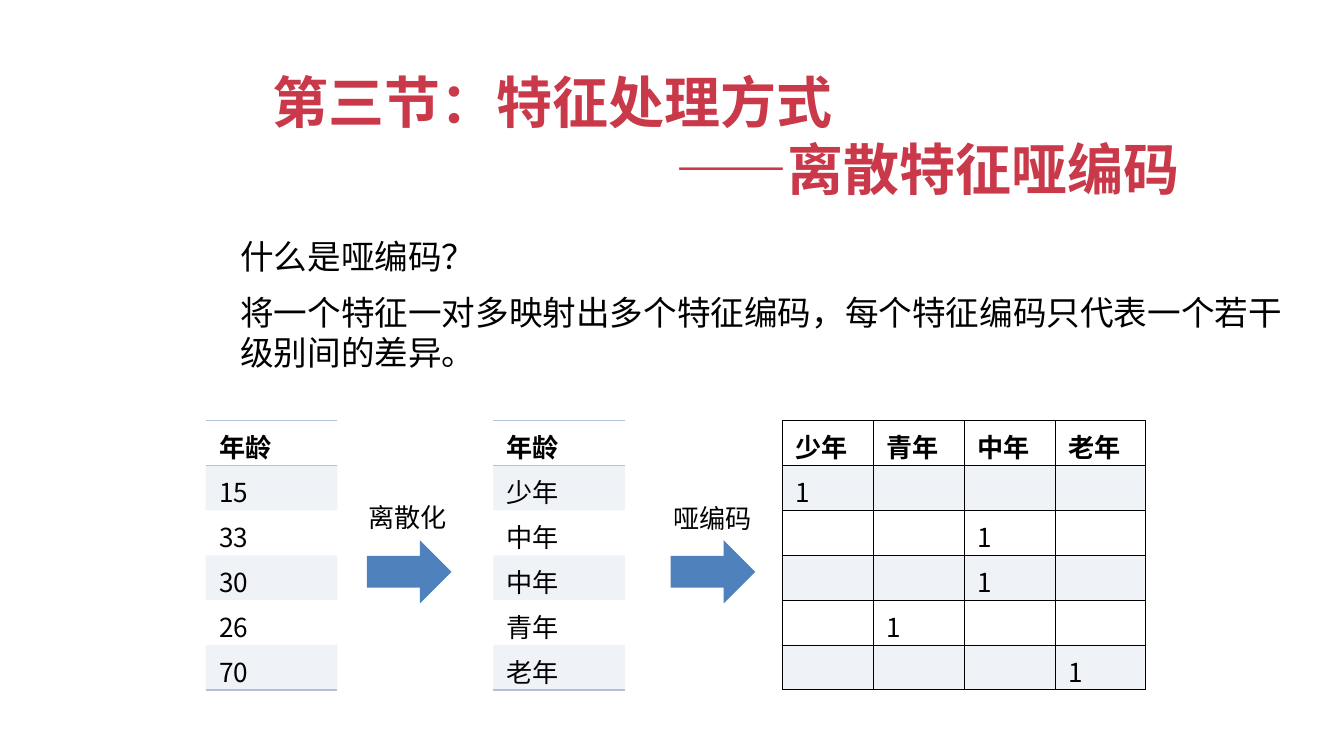
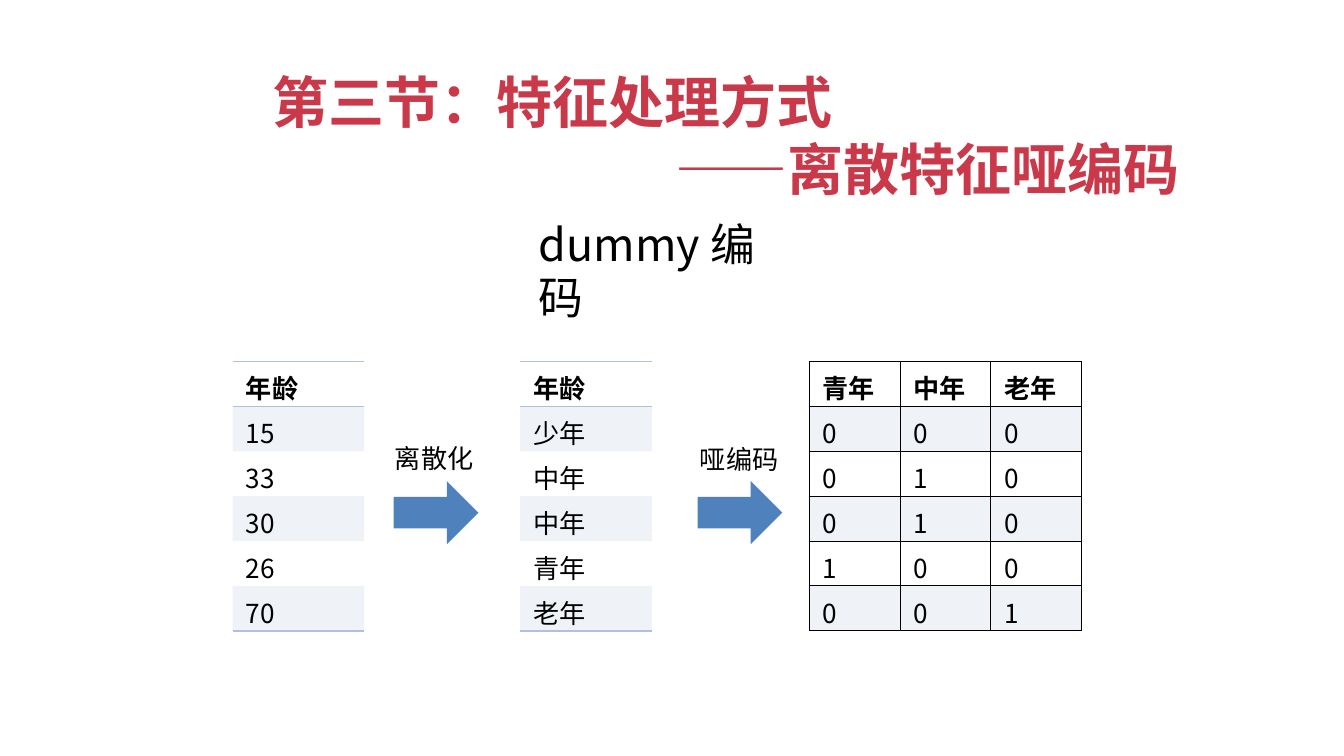
import pptx
import pptx.util
import pptx.dml.color
import pptx.enum.shapes
import pptx.oxml.ns
from lxml import etree

Inches, Pt = pptx.util.Inches, pptx.util.Pt
RGB = pptx.dml.color.RGBColor
qn = pptx.oxml.ns.qn

FONT = "Noto Sans CJK SC"
RED = RGB(0xC9, 0x39, 0x4A)
BLACK = RGB(0, 0, 0)
BLUE = RGB(0x4F, 0x81, 0xBD)
PALE = RGB(0xB2, 0xC1, 0xDB)
NO_STYLE = "{2D5ABB26-0587-4C30-8999-92F81FD0307C}"

WIDE = 10
HIGH = WIDE * 9 / 16
ROW = 2 / 6
AGE_COL, CODE_COL = 0.98, 2.03 / 3
# left of the group and code tables, from the left of the age table
GROUP_X, CODE_X = 2.14, 4.29

TITLE = [("第三节：特征处理方式", 0), ("——离散特征哑编码", 6)]
HEAD = "年龄"
AGES = ["15", "33", "30", "26", "70"]
GROUPS = ["少年", "中年", "中年", "青年", "老年"]
LEVELS = ["少年", "青年", "中年", "老年"]
# label, arrow offset, label offset from the left of the age table
MOVES = [("离散化", 1.2, (1.11, 0.55)), ("哑编码", 3.46, (3.38, 0.56))]

# texts: words, size, box, wrap
PAGES = [
    {
        "texts": [
            ("什么是哑编码？", 18, (1.69, 1.71, 1.97, 0.4), False),
            ("将一个特征一对多映射出多个特征编码，每个特征编码只代表一个若干级别间的差异。",
             18, (1.69, 2.12, 8.03, 0.71), True),
        ],
        "start": (1.53, 3.13), "levels": LEVELS, "zero": "",
    },
    {
        "texts": [("dummy 编码", 24, (3.91, 1.56, 2.05, 0.5), True)],
        "start": (1.73, 2.69), "levels": LEVELS[1:], "zero": "0",
    },
]


def put(para, words, size, color=BLACK, bold=False):
    run = para.add_run()
    run.text = words
    font = run.font
    font.size, font.bold, font.name = Pt(size), bold, FONT
    font.color.rgb = color
    east = etree.SubElement(run._r.get_or_add_rPr(), qn("a:ea"))
    east.set("typeface", FONT)


def add_box(slide, box, wrap):
    frame = slide.shapes.add_textbox(*map(Inches, box)).text_frame
    frame.word_wrap = wrap
    return frame


def add_text(slide, words, size, box, wrap):
    put(add_box(slide, box, wrap).paragraphs[0], words, size)


def add_title(slide):
    frame = add_box(slide, (1.93, 0.45, 7.15, 1.11), True)
    for i, (words, level) in enumerate(TITLE):
        para = frame.add_paragraph() if i else frame.paragraphs[0]
        para.level = level
        put(para, words, 30, RED, True)


def edge(cell, sides, color, width):
    """Draw the given sides (of L, R, T, B) and clear the rest."""
    props = cell._tc.get_or_add_tcPr()
    for side in "LRTB":
        line = etree.SubElement(props, qn("a:ln" + side))
        if side in sides:
            line.set("w", str(Pt(width)))
            fill = etree.SubElement(line, qn("a:solidFill"))
            etree.SubElement(fill, qn("a:srgbClr")).set("val", str(color))
        else:
            line.set("w", "0")
            etree.SubElement(line, qn("a:noFill"))


def shade(cell, band):
    if not band:
        cell.fill.background()
        return
    cell.fill.solid()
    cell.fill.fore_color.rgb = PALE
    tone = cell._tc.tcPr.find(qn("a:solidFill"))[0]
    etree.SubElement(tone, qn("a:alpha")).set("val", "20000")


def add_grid(slide, rows, left, top, col, boxed=False):
    count, last = len(rows[0]), len(rows) - 1
    size = (left, top, col * count, ROW * len(rows))
    table = slide.shapes.add_table(len(rows), count, *map(Inches, size)).table
    table.horz_banding = False
    table._tbl.tblPr.find(qn("a:tableStyleId")).text = NO_STYLE
    for r, row in enumerate(rows):
        table.rows[r].height = Inches(ROW)
        for c, words in enumerate(row):
            cell = table.cell(r, c)
            para = cell.text_frame.paragraphs[0]
            if words:
                put(para, words, 14, bold=r == 0)
            else:
                etree.SubElement(para._p, qn("a:endParaRPr")).set("sz", "1400")
            if boxed:
                edge(cell, "LRTB", BLACK, 0.5)
            else:
                # rules above and below the head, and under the last row
                edge(cell, {0: "TB", 1: "T", last: "B"}.get(r, ""), PALE, 1)
            shade(cell, r % 2)
    for column in table.columns:
        column.width = Inches(col)


def add_arrow(slide, left, top):
    kind = pptx.enum.shapes.MSO_SHAPE.RIGHT_ARROW
    arrow = slide.shapes.add_shape(kind, *map(Inches, (left, top, 0.63, 0.47)))
    arrow.shadow.inherit = False
    arrow.fill.solid()
    arrow.fill.fore_color.rgb = BLUE
    arrow.line.fill.background()


def add_flow(slide, start, levels, zero):
    """Ages, then age groups, then one column of code for each level."""
    left, top = start
    codes = [["1" if group == level else zero for level in levels]
             for group in GROUPS]
    for names, shift in [(AGES, 0), (GROUPS, GROUP_X)]:
        rows = [[name] for name in [HEAD] + names]
        add_grid(slide, rows, left + shift, top, AGE_COL)
    add_grid(slide, [levels] + codes, left + CODE_X, top, CODE_COL, True)
    for words, shift, (x, y) in MOVES:
        add_arrow(slide, left + shift, top + 0.89)
        add_text(slide, words, 14, (left + x, top + y, 0.79, 0.34), False)


def main():
    deck = pptx.Presentation()
    deck.slide_width, deck.slide_height = Inches(WIDE), Inches(HIGH)
    for page in PAGES:
        slide = deck.slides.add_slide(deck.slide_layouts[6])
        add_title(slide)
        for text in page["texts"]:
            add_text(slide, *text)
        add_flow(slide, page["start"], page["levels"], page["zero"])
    deck.save("out.pptx")


if __name__ == "__main__":
    main()
